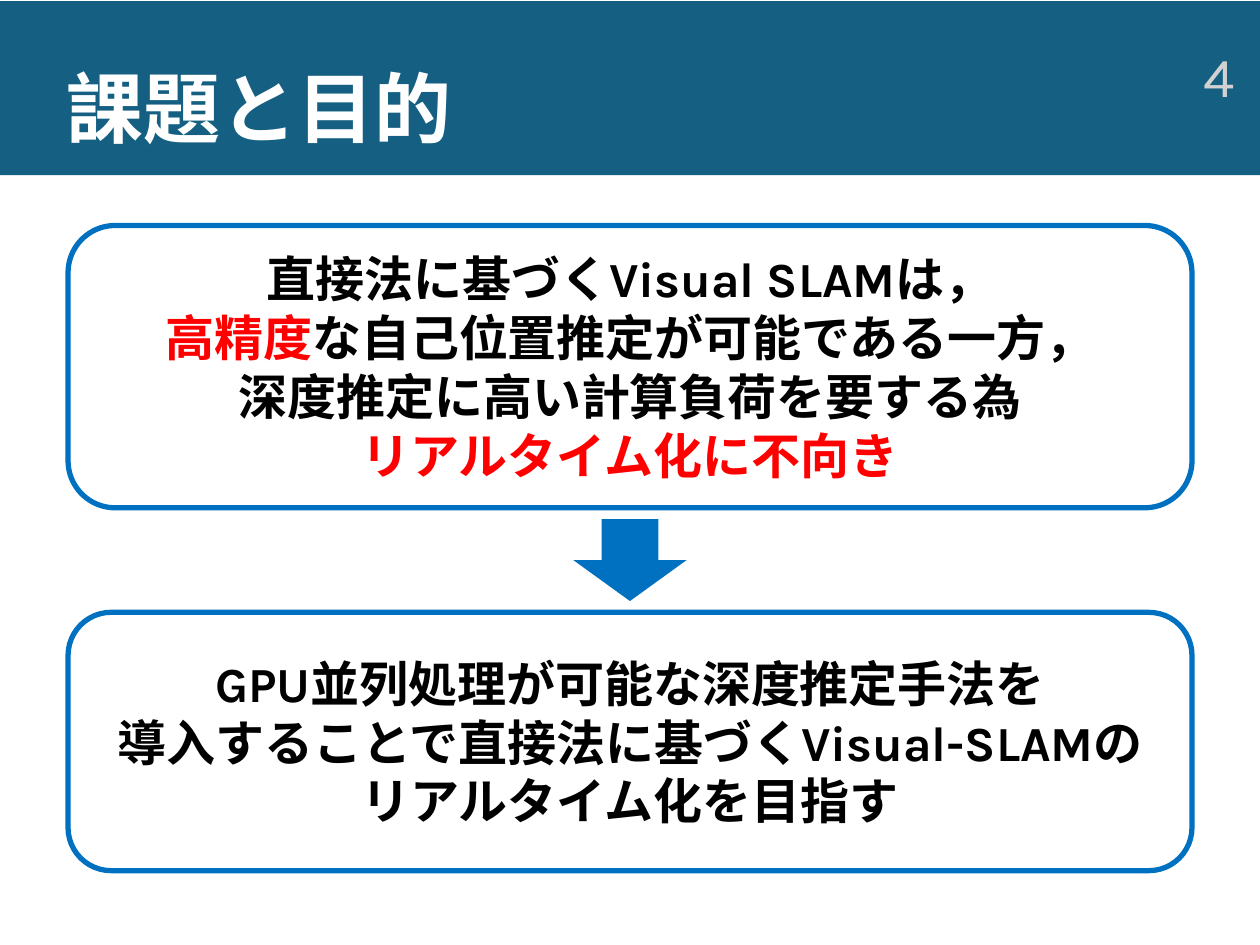
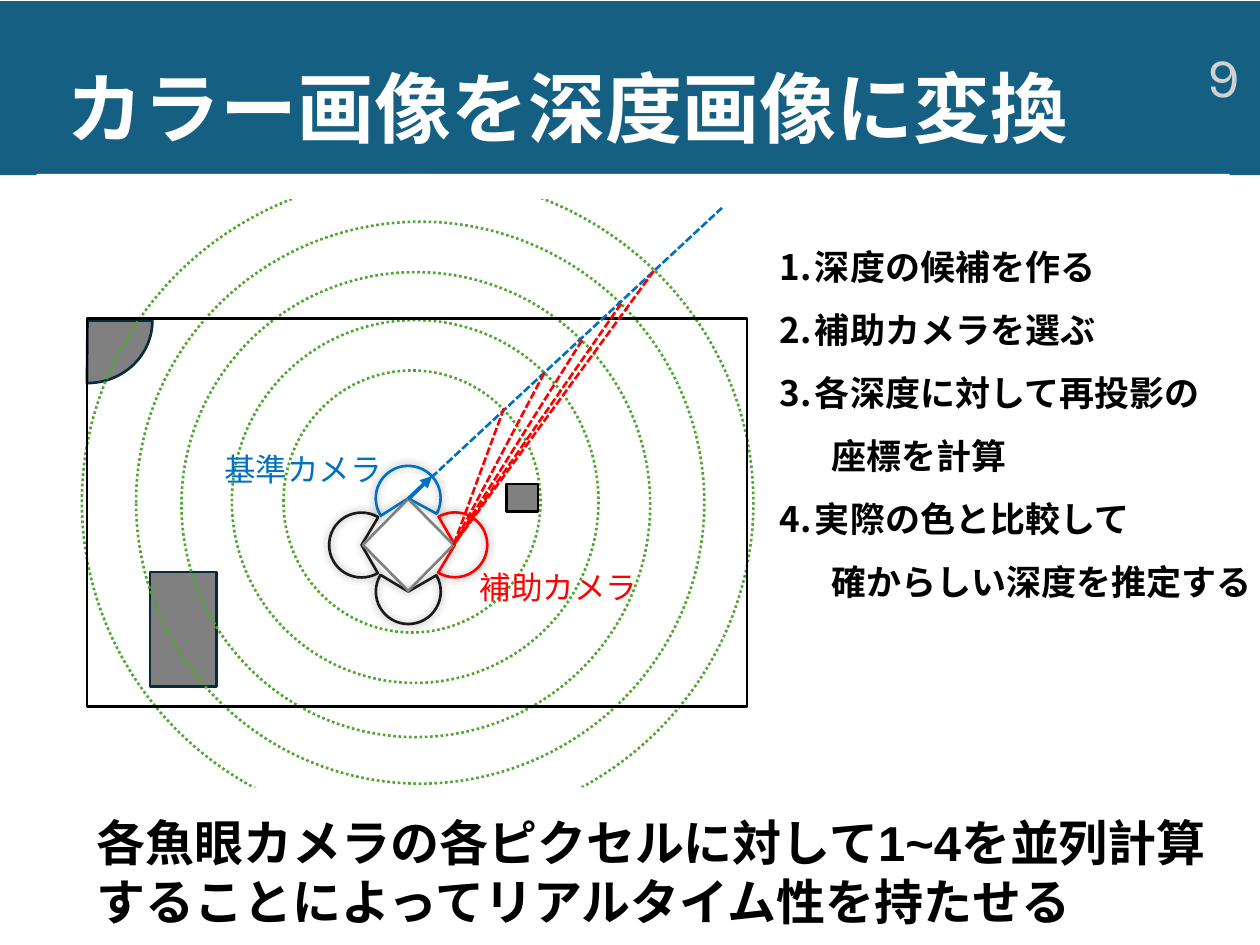
import math
from dataclasses import dataclass
from typing import Optional

from lxml import etree
from pptx import Presentation, util as u
from pptx.dml.color import RGBColor
from pptx.enum import dml, shapes, text
from pptx.oxml.ns import qn

CELL = u.Inches(0.1)  # the grid has 100 columns and 75 rows
COLUMNS, ROWS = 100, 75
BODY_FONT, HEAD_FONT = "Karla", "Arial"
COLOURS = {
    "band": "156082", "white": "FFFFFF", "number": "D1D1D1", "black": "000000",
    "blue": "0070C0", "red": "FF0000", "grey": "808080", "navy": "092A39",
    "dark": "1A1A1A", "green": "4EA72E",
}
KINDS = shapes.MSO_SHAPE
DASHES = dml.MSO_LINE


@dataclass
class Area:
    """A place on the grid, in columns and rows."""
    left: float
    top: float
    width: float
    height: float

    def lengths(self) -> list[int]:
        return [cells(n) for n in (self.left, self.top, self.width, self.height)]


@dataclass
class Stroke:
    colour: str
    width: float = 1.5
    dash: Optional[dml.MSO_LINE] = None


@dataclass
class Style:
    size: float
    colour: str = "black"
    bold: bool = False
    font: str = BODY_FONT
    align: Optional[text.PP_ALIGN] = None
    spacing: Optional[float] = None


@dataclass
class Span:
    words: str
    colour: str = "black"


@dataclass
class Lobe:
    """The field of view of one camera on the rig."""
    heading: float  # degrees clockwise from straight up
    rotation: float
    colour: str


@dataclass
class Step:
    first_line: str
    second_line: str = ""


TITLE = Style(44, "white", True, HEAD_FONT, spacing=0.9)
NUMBER = Style(32, "number", align=text.PP_ALIGN.RIGHT)
STATEMENT = Style(28, bold=True, align=text.PP_ALIGN.CENTER)
STEP = Style(20, bold=True, spacing=1.5)
CONCLUSION = Style(28, bold=True, font=HEAD_FONT)

PROBLEM = [
    [Span("直接法に基づくVisual SLAMは，\n"), Span("高精度", "red"),
     Span("な自己位置推定が可能である一方，\n深度推定に高い計算負荷を要する為")],
    [Span("リアルタイム化に不向き", "red")],
]
GOAL = [[Span("GPU並列処理が可能な深度推定手法を\n"
              "導入することで直接法に基づくVisual-SLAMの\nリアルタイム化を目指す")]]
STEPS = [
    Step("深度の候補を作る"),
    Step("補助カメラを選ぶ"),
    Step("各深度に対して再投影の", "座標を計算"),
    Step("実際の色と比較して", "確からしい深度を推定する"),
]
DEPTH_RINGS = [
    Area(6.5, 13.9, 53.3, 51.9), Area(10.8, 17.6, 45.1, 44.6),
    Area(14.4, 21.6, 37.2, 36.9), Area(18.4, 25.4, 29.1, 28.8),
    Area(22.5, 29.4, 20.4, 20.8),
]
DEPTH_POINTS = [(40, 32.4), (43.2, 29.6), (46.2, 27), (49.3, 24.1), (51.9, 21.5)]
LOBES = [Lobe(0, 357.5, "blue"), Lobe(90, 90, "red"),
         Lobe(180, 180, "dark"), Lobe(270, 270, "dark")]
RIG = Area(28.8, 39.6, 7.2, 7.3)
RIG_TOP, RIG_RIGHT = (32.4, 39.6), (36, 43.25)
LOBE_SIZE, LOBE_DISTANCE = 5.15, 3.7


def cells(count: float) -> int:
    return round(count * CELL)


def rgb(name: str) -> RGBColor:
    return RGBColor.from_string(COLOURS[name])


def apply_stroke(line, stroke: Stroke) -> None:
    line.color.rgb = rgb(stroke.colour)
    line.width = u.Pt(stroke.width)
    if stroke.dash is not None:
        line.dash_style = stroke.dash


def add_figure(page, kind, area: Area, fill: str = "", stroke: Optional[Stroke] = None):
    figure = page.shapes.add_shape(kind, *area.lengths())
    figure.shadow.inherit = False
    if fill:
        figure.fill.solid()
        figure.fill.fore_color.rgb = rgb(fill)
    else:
        figure.fill.background()
    if stroke:
        apply_stroke(figure.line, stroke)
    else:
        figure.line.fill.background()
    return figure


def add_line(page, start, end, stroke: Stroke, arrow: bool = False):
    line = page.shapes.add_connector(
        shapes.MSO_CONNECTOR.STRAIGHT, *(cells(n) for n in (*start, *end)))
    apply_stroke(line.line, stroke)
    properties = line._element.spPr
    etree.SubElement(properties, qn("a:effectLst"))
    if arrow:
        etree.SubElement(properties.find(qn("a:ln")), qn("a:tailEnd"), type="triangle")
    return line


def format_paragraph(para, style: Style) -> None:
    para.alignment = style.align
    if style.spacing:
        para.line_spacing = style.spacing


def add_span(para, span: Span, style: Style) -> None:
    for index, words in enumerate(span.words.split("\n")):
        if index:
            para.add_line_break()
        if words:
            run = para.add_run()
            run.text = words
            run.font.name, run.font.size = style.font, u.Pt(style.size)
            run.font.bold = style.bold
            run.font.color.rgb = rgb(span.colour)


def write(frame, paragraphs: list[list[Span]], style: Style) -> None:
    for index, spans in enumerate(paragraphs):
        para = frame.add_paragraph() if index else frame.paragraphs[0]
        format_paragraph(para, style)
        for span in spans:
            add_span(para, span, style)


def add_text(page, area: Area, words: str, style: Style,
             anchor=text.MSO_ANCHOR.TOP, wrap: bool = True):
    frame = page.shapes.add_textbox(*area.lengths()).text_frame
    frame.word_wrap = wrap
    frame.vertical_anchor = anchor
    write(frame, [[Span(words, style.colour)]] if words else [], style)
    return frame


def add_page(deck, title: str, number: int, number_left: float):
    """Add a page with the band, title and page number that all pages share."""
    page = deck.slides.add_slide(deck.slide_layouts[6])
    add_figure(page, KINDS.RECTANGLE, Area(0, 0.1, COLUMNS, 13.8), "band")
    middle = text.MSO_ANCHOR.MIDDLE
    add_text(page, Area(4.3, 4, 88.8, 9.8), title, TITLE, middle)
    add_text(page, Area(number_left, 4, 22.5, 4), str(number), NUMBER, middle)
    return page


def add_statement(page, top: float, height: float, paragraphs: list[list[Span]]) -> None:
    box = add_figure(page, KINDS.ROUNDED_RECTANGLE, Area(5.4, top, 89.2, height),
                     stroke=Stroke("blue", 3))
    box.text_frame.word_wrap = True
    box.text_frame.vertical_anchor = text.MSO_ANCHOR.MIDDLE
    write(box.text_frame, paragraphs, STATEMENT)


def add_glow(figure) -> None:
    """Give a figure a soft dark shadow on all sides."""
    effects = figure._element.spPr.find(qn("a:effectLst"))
    shadow = etree.SubElement(effects, qn("a:outerShdw"), blurRad=str(u.Pt(5)),
                              dist="0", dir="0", algn="ctr", rotWithShape="0")
    colour = etree.SubElement(shadow, qn("a:srgbClr"), val=COLOURS["black"])
    etree.SubElement(colour, qn("a:alpha"), val="40000")


def add_lobe(page, lobe: Lobe) -> None:
    angle = math.radians(lobe.heading)
    centre_x = RIG.left + RIG.width / 2 + LOBE_DISTANCE * math.sin(angle)
    centre_y = RIG.top + RIG.height / 2 - LOBE_DISTANCE * math.cos(angle)
    half = LOBE_SIZE / 2
    pie = add_figure(page, KINDS.PIE,
                     Area(centre_x - half, centre_y - half, LOBE_SIZE, LOBE_SIZE),
                     stroke=Stroke(lobe.colour))
    pie.adjustments[0], pie.adjustments[1] = 89.98, 18.58
    pie.rotation = lobe.rotation
    add_glow(pie)


def add_room(page) -> None:
    corner = add_figure(page, KINDS.PIE, Area(1.8, 20.5, 10.3, 9.9), "grey", Stroke("navy"))
    corner.adjustments[0], corner.adjustments[1] = 0, 54.33
    add_figure(page, KINDS.RECTANGLE, Area(11.9, 45.4, 5.3, 9.1), "grey", Stroke("navy"))
    for ring in DEPTH_RINGS:
        add_figure(page, KINDS.FLOWCHART_CONNECTOR, ring,
                   stroke=Stroke("green", dash=DASHES.ROUND_DOT))
    add_figure(page, KINDS.RECTANGLE, Area(6.9, 25.3, 52.4, 30.8), stroke=Stroke("black"))


def add_cameras(page) -> None:
    for lobe in LOBES:
        add_lobe(page, lobe)
    rig = add_figure(page, KINDS.DIAMOND, RIG, stroke=Stroke("grey"))
    ray = add_line(page, RIG_TOP, (57.3, 16.5), Stroke("blue", dash=DASHES.SQUARE_DOT))
    ray.begin_connect(rig, 0)
    for point in DEPTH_POINTS:
        sight = add_line(page, point, RIG_RIGHT, Stroke("red", dash=DASHES.SQUARE_DOT))
        sight.end_connect(rig, 3)
    add_figure(page, KINDS.RECTANGLE, Area(40.2, 38.4, 2.5, 2.2), "grey", Stroke("black"))
    heading = add_line(page, RIG_TOP, (34.3, 37.8), Stroke("blue", 2.25), arrow=True)
    heading.begin_connect(rig, 0)
    add_text(page, Area(37.1, 44.6, 14.6, 4), "補助カメラ", Style(18, "red"), wrap=False)
    add_text(page, Area(16.8, 35.2, 15.5, 4), "基準カメラ", Style(18, "blue"))


def add_steps(page) -> None:
    frame = add_text(page, Area(60.9, 17.3, 39.7, 30.8), "", STEP, wrap=False)
    for number, step in enumerate(STEPS, start=1):
        para = frame.add_paragraph() if number > 1 else frame.paragraphs[0]
        properties = para._p.get_or_add_pPr()
        properties.set("marL", str(cells(2.8)))
        properties.set("indent", str(-cells(2.8)))
        etree.SubElement(properties, qn("a:buFont"), typeface="+mj-lt")
        etree.SubElement(properties, qn("a:buAutoNum"), type="arabicPeriod",
                         startAt=str(number))
        format_paragraph(para, STEP)
        add_span(para, Span(step.first_line), STEP)
        if step.second_line:
            para = frame.add_paragraph()
            para._p.get_or_add_pPr().set("marL", str(cells(4.1)))
            format_paragraph(para, STEP)
            add_span(para, Span(step.second_line), STEP)


def build_purpose(deck) -> None:
    page = add_page(deck, "課題と目的", 4, 76.5)
    add_statement(page, 48.6, 20.5, GOAL)
    add_statement(page, 17.9, 22.4, PROBLEM)
    add_figure(page, KINDS.DOWN_ARROW, Area(45.5, 41.2, 9, 6.5), "blue")


def build_depth(deck) -> None:
    page = add_page(deck, "カラー画像を深度画像に変換", 9, 76.9)
    add_room(page)
    add_cameras(page)
    add_steps(page)
    for edge in (Area(3.1, 62.5, 94.7, 10), Area(2.9, 13.8, 94.7, 2)):
        add_figure(page, KINDS.RECTANGLE, edge, "white")
    add_text(page, Area(6.7, 64, 92.7, 10.4),
             "各魚眼カメラの各ピクセルに対して1~4を並列計算"
             "することによってリアルタイム性を持たせる", CONCLUSION)


def main() -> None:
    deck = Presentation()
    deck.slide_width, deck.slide_height = cells(COLUMNS), cells(ROWS)
    build_purpose(deck)
    build_depth(deck)
    deck.save("out.pptx")


if __name__ == "__main__":
    main()
